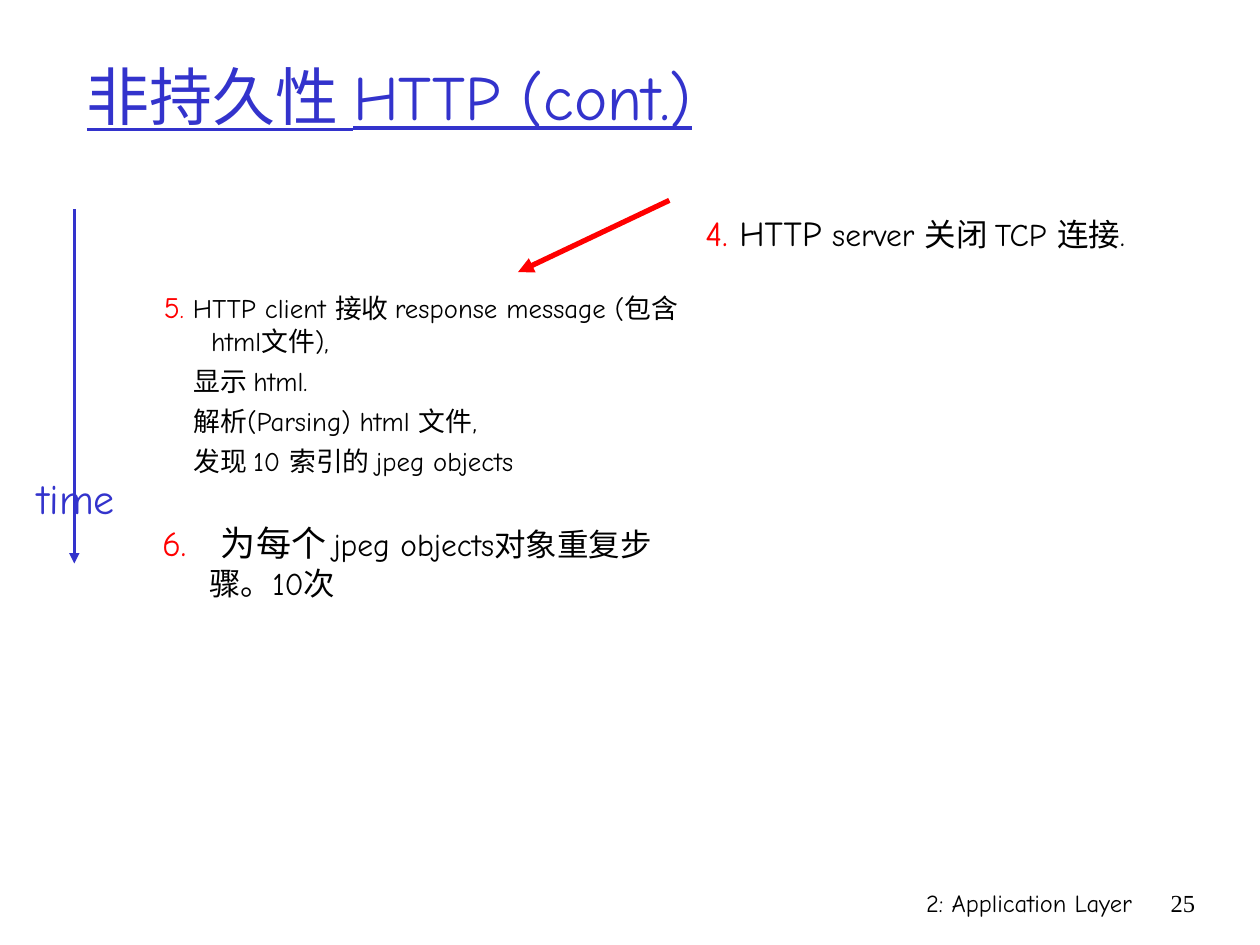
from lxml import etree
from pptx import Presentation
from pptx.dml.color import RGBColor
from pptx.enum.shapes import MSO_CONNECTOR as Connector
from pptx.enum.text import MSO_ANCHOR as Anchor, MSO_AUTO_SIZE as AutoSize, PP_ALIGN as Align
from pptx.oxml.ns import qn
from pptx.util import Pt

COLORS = {"blue": "3333CC", "red": "FF0000", "black": "000000"}
FONT = "Comic Neue"
HANGING = 27
SUBLINE_INDENT = 17


def add_run(paragraph, words, size, color, font=FONT):
    run = paragraph.add_run()
    run.text = words
    run.font.name = font
    run.font.size = Pt(size)
    run.font.color.rgb = RGBColor.from_string(COLORS[color])
    return run


def add_box(slide, left, top, width, height):
    frame = slide.shapes.add_textbox(Pt(left), Pt(top), Pt(width), Pt(height)).text_frame
    frame.word_wrap = True
    return frame


def set_indent(paragraph, margin, first_line=0):
    properties = paragraph._p.get_or_add_pPr()
    properties.set("marL", str(Pt(margin)))
    properties.set("indent", str(Pt(first_line)))


def add_arrow(slide, start, end, color, width):
    arrow = slide.shapes.add_connector(Connector.STRAIGHT, *map(Pt, start + end))
    arrow.line.color.rgb = RGBColor.from_string(COLORS[color])
    arrow.line.width = Pt(width)
    etree.SubElement(arrow.line._get_or_add_ln(), qn("a:tailEnd"), type="triangle")
    etree.SubElement(arrow._element.spPr, qn("a:effectLst"))


def place_title(slide, left, top, width, height):
    title = slide.shapes.title
    title.left, title.top, title.width, title.height = map(Pt, (left, top, width, height))
    frame = title.text_frame
    frame.auto_size = AutoSize.NONE
    frame.vertical_anchor = Anchor.MIDDLE
    heading = frame.paragraphs[0]
    heading.alignment = Align.LEFT
    add_run(heading, "非持久性 HTTP (cont.)", 36, "blue").font.underline = True


def add_step(slide, left, top, width, height, runs, sublines=()):
    """Numbered step with a hanging indent; sublines follow at the size of its last run."""
    frame = add_box(slide, left, top, width, height)
    step = frame.paragraphs[0]
    set_indent(step, HANGING, -HANGING)
    for words, size, color in runs:
        add_run(step, words, size, color)
    for words in sublines:
        subline = frame.add_paragraph()
        set_indent(subline, SUBLINE_INDENT)
        subline.space_before = Pt(4.5)
        add_run(subline, words, runs[-1][1], "black")


def add_time_axis(slide, left, top, width, height):
    """Downward time arrow through a label near its lower end."""
    middle = left + width / 2 - 1
    label = add_box(slide, left, top + height - 55.5, width, 36)
    label.word_wrap = False
    label.auto_size = AutoSize.SHAPE_TO_FIT_TEXT
    label.margin_left = label.margin_right = 0
    label.paragraphs[0].alignment = Align.CENTER
    add_run(label.paragraphs[0], "time", 24, "blue")
    add_arrow(slide, (middle, top), (middle, top + height), "blue", 1.5)


def add_footer(slide, left, top, width, height, number_width):
    chapter_width = width - number_width
    for words, font, x, part_width in (
        ("2: Application Layer", FONT, left, chapter_width),
        ("25", "Times New Roman", left + chapter_width, number_width),
    ):
        part = add_box(slide, x, top, part_width, height).paragraphs[0]
        part.alignment = Align.RIGHT
        add_run(part, words, 14, "black", font)


def main():
    deck = Presentation()
    deck.slide_width, deck.slide_height = Pt(720), Pt(540)
    slide = deck.slides.add_slide(deck.slide_layouts[5])

    place_title(slide, 42.5, 20, 612, 68.5)
    add_step(slide, 396, 117.5, 300, 57.5, [
        ("4.", 20, "red"), (" HTTP", 20, "black"), (" server 关闭 TCP 连接.", 18, "black"),
    ])
    add_step(slide, 86.5, 161.5, 321, 121, [
        ("5", 17, "red"), (".", 15.3, "red"),
        (" HTTP client 接收 response message (包含html文件),", 15.3, "black"),
    ], ["显示 html.", "解析(Parsing) html 文件,", "发现 10 索引的 jpeg objects"])
    add_step(slide, 85.5, 294.5, 300, 52.5, [
        ("6.\t", 20, "red"), (" 为每个", 20, "black"),
        (" jpeg objects对象重复步骤。10次", 18, "black"),
    ])
    add_time_axis(slide, 14.5, 119.5, 58, 202.5)
    add_arrow(slide, (382.5, 114.5), (296, 155.5), "red", 3)
    add_footer(slide, 426, 504, 264, 36, number_width=36)
    deck.save("out.pptx")


if __name__ == "__main__":
    main()
